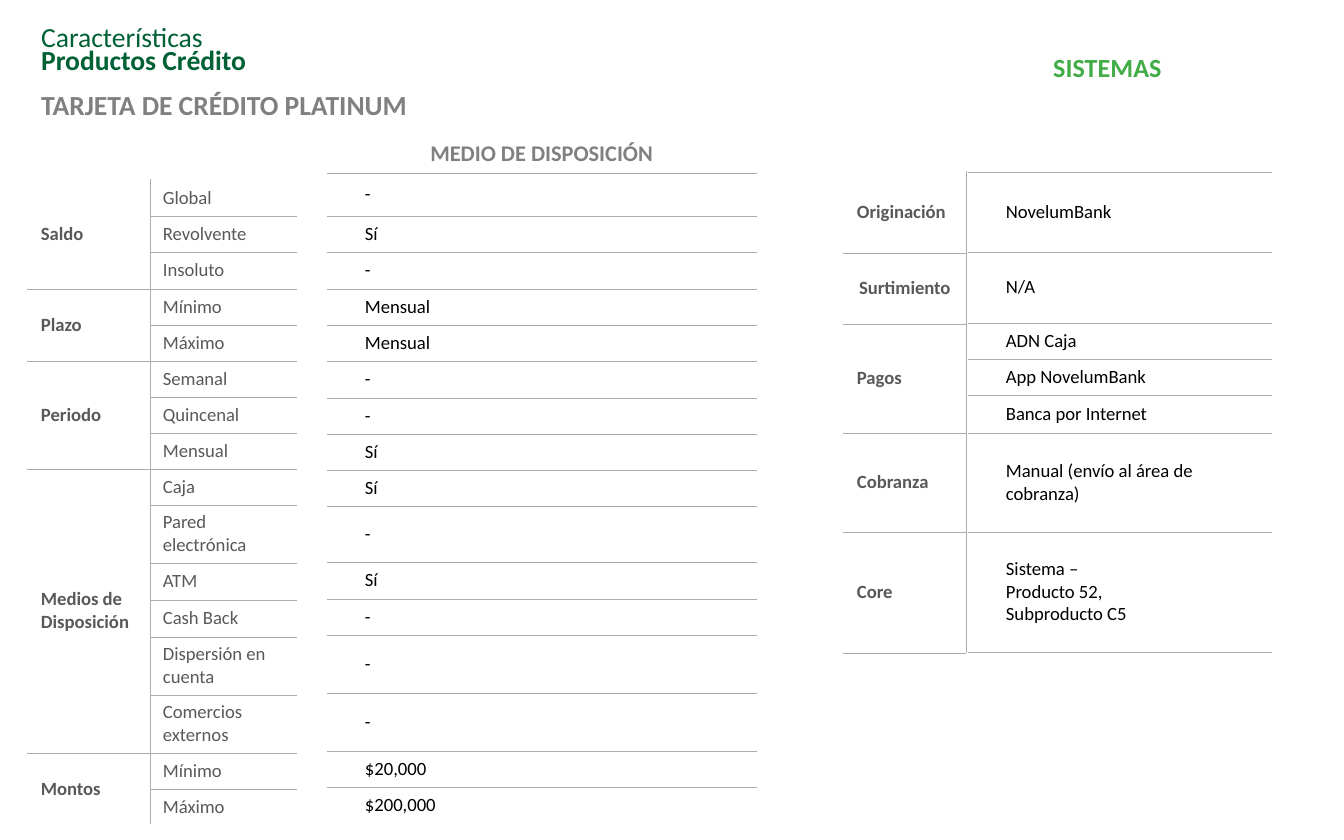
from lxml import etree
from pptx import Presentation
from pptx.dml.color import RGBColor
from pptx.enum.text import MSO_ANCHOR as Anchor, PP_ALIGN as Align
from pptx.oxml.ns import qn
from pptx.util import Pt

PX = 6804  # EMU per pixel
FONT = "Calibri"
WHITE, RULE, BLACK = "FFFFFF", "AFABAB", "000000"
LABEL, HEADING = "595959", "808080"
DARK_GREEN, GREEN = "006135", "42AC47"
rgb = RGBColor.from_string


def set_borders(cell, left, right, top, bottom):
    """Draw the four cell edges: thin for rules, 1 pt for white ones."""
    properties = cell._tc.get_or_add_tcPr()
    sides = {"L": left, "R": right, "T": top, "B": bottom}
    for index, (side, color) in enumerate(sides.items()):
        width = Pt(1) if color == WHITE else Pt(0.25)
        line = etree.Element(qn(f"a:ln{side}"), w=str(width))
        fill = etree.SubElement(line, qn("a:solidFill"))
        etree.SubElement(fill, qn("a:srgbClr"), val=color)
        properties.insert(index, line)


def add_grid(left, top, widths, heights, columns, color,
             bold=False, indent=13, divider=False, closed=True):
    """Add a ruled table; None in a column extends the cell above it."""
    row_count = len(heights)
    table = page.shapes.add_table(
        row_count, len(widths), left * PX, top * PX,
        sum(widths) * PX, sum(heights) * PX).table
    table.first_row = table.horz_banding = False
    for column, width in zip(table.columns, widths):
        column.width = width * PX
    for row, height in zip(table.rows, heights):
        row.height = height * PX

    for c, texts in enumerate(columns):
        starts = [r for r, text in enumerate(texts) if text is not None]
        for start, end in zip(starts, starts[1:] + [row_count]):
            if end - start > 1:
                table.cell(start, c).merge(table.cell(end - 1, c))
            for r in range(start, end):
                cell = table.cell(r, c)
                cell.fill.background()
                set_borders(
                    cell,
                    RULE if divider and c == 1 else WHITE,
                    RULE if divider and c == 0 else WHITE,
                    RULE if start > 0 else WHITE,
                    RULE if closed or end < row_count else WHITE)
            cell = table.cell(start, c)
            cell.vertical_anchor = Anchor.MIDDLE
            cell.margin_left = indent * PX
            cell.margin_top = cell.margin_bottom = 6 * PX
            cell.text_frame.text = texts[start]
            for para in cell.text_frame.paragraphs:
                para.font.name = FONT
                para.font.size = Pt(10)
                para.font.bold = bold and c == 0
                para.font.color.rgb = rgb(color)
    return table


deck = Presentation()
deck.slide_width, deck.slide_height = 1344 * PX, 840 * PX
page = deck.slides.add_slide(deck.slide_layouts[6])

# Means of withdrawal: one value for each feature
values = ["MEDIO DE DISPOSICIÓN", "-", "Sí", "-", "Mensual", "Mensual", "-", "-",
          "Sí", "Sí", "-", "Sí", "-", "-", "-", "$20,000", "$200,000"]
value_heights = [129, 43, 36, 37, 36, 36, 37, 36, 36, 36, 56, 37, 36, 58, 58, 36, 36]
value_table = add_grid(328, 44, [428], value_heights, [values], BLACK,
                       indent=37, closed=False)
header = value_table.cell(0, 0)
header.vertical_anchor = Anchor.BOTTOM
header.margin_left = 13 * PX
para = header.text_frame.paragraphs[0]
para.alignment = Align.CENTER
para.font.size = Pt(12)
para.font.bold = True
para.font.color.rgb = rgb(HEADING)

# Features, grouped by category
groups = {
    "Saldo": ["Global", "Revolvente", "Insoluto"],
    "Plazo": ["Mínimo", "Máximo"],
    "Periodo": ["Semanal", "Quincenal", "Mensual"],
    "Medios de Disposición": ["Caja", "Pared electrónica", "ATM", "Cash Back",
                              "Dispersión en cuenta", "Comercios externos"],
    "Montos": ["Mínimo", "Máximo"],
}
categories, features = [], []
for category, members in groups.items():
    categories += [category] + [None] * (len(members) - 1)
    features += members
feature_heights = [36, 36, 37, 36, 36, 36, 36, 36, 36, 58, 37, 37, 58, 58, 36, 36]
add_grid(28, 180, [122, 146], feature_heights, [categories, features], LABEL,
         bold=True, divider=True, closed=False)

# Title
box = page.shapes.add_textbox(28 * PX, 18 * PX, 1075 * PX, 113 * PX)
frame = box.text_frame
frame.word_wrap = True
frame.vertical_anchor = Anchor.MIDDLE
titles = [("Características", DARK_GREEN, False, 0),
          ("Productos Crédito", DARK_GREEN, True, 0),
          ("TARJETA DE CRÉDITO PLATINUM", HEADING, True, 12)]
for index, (text, color, bold, space) in enumerate(titles):
    para = frame.paragraphs[0] if index == 0 else frame.add_paragraph()
    para.text = text
    para.line_spacing = 0.7
    para.space_before = Pt(space)
    para.font.name = FONT
    para.font.size = Pt(14.8)
    para.font.bold = bold
    para.font.color.rgb = rgb(color)

# Systems heading
box = page.shapes.add_textbox(1040 * PX, 45 * PX, 137 * PX, 46 * PX)
box.text_frame.word_wrap = False
para = box.text_frame.paragraphs[0]
para.text = "SISTEMAS"
para.font.name = FONT
para.font.size = Pt(14)
para.font.bold = True
para.font.color.rgb = rgb(GREEN)

# Systems: process stages
stages = ["Originación", "Surtimiento", "Pagos", "Cobranza", "Core"]
stage_table = add_grid(844, 172, [122], [81, 71, 109, 99, 121], [stages], LABEL,
                       bold=True, divider=True)
stage_table.cell(1, 0).text_frame.paragraphs[0].alignment = Align.CENTER

# Systems: platform used in each stage
platforms = ["", "NovelumBank", "N/A", "ADN Caja", "App NovelumBank",
             "Banca por Internet", "Manual (envío al área de cobranza)",
             "Sistema –\nProducto 52,\nSubproducto C5"]
add_grid(969, 43, [302], [129, 80, 71, 36, 36, 38, 99, 120], [platforms], BLACK,
         indent=37)

deck.save("out.pptx")
